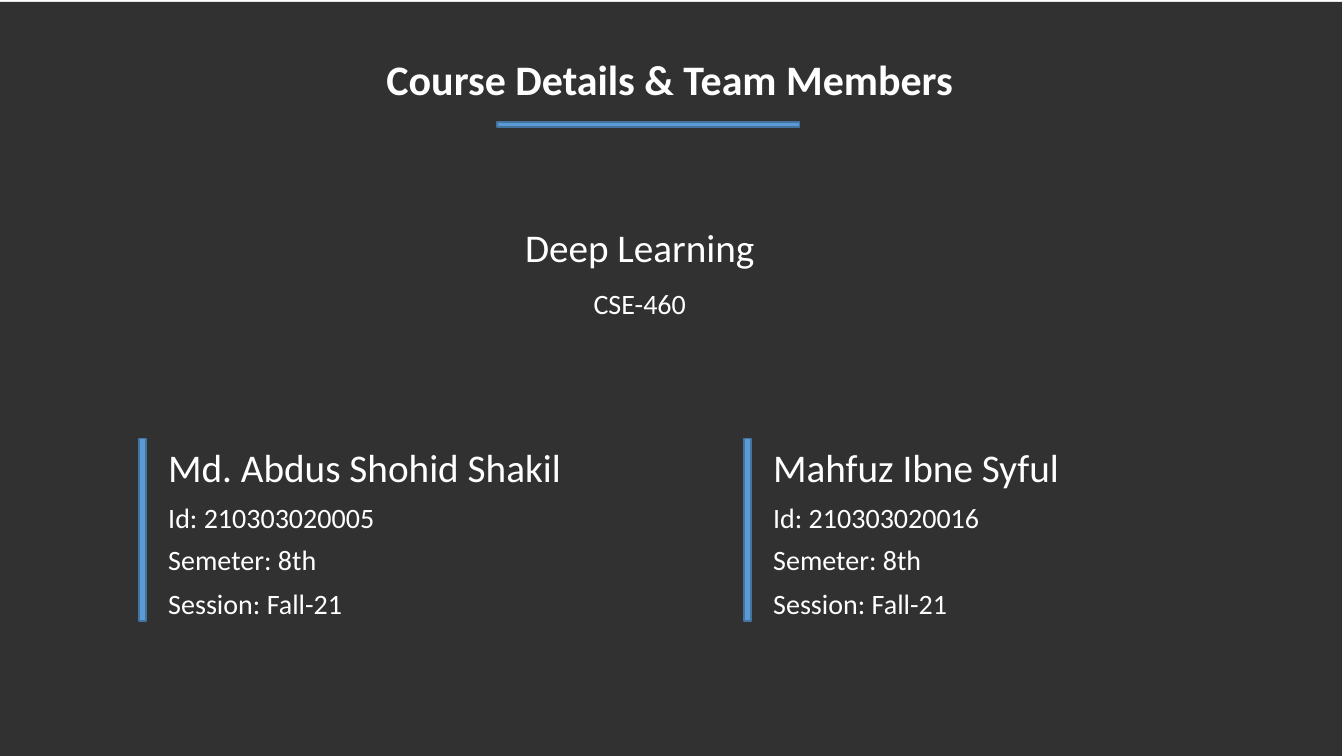
import pptx
import pptx.dml.color
import pptx.enum.shapes
import pptx.enum.text
import pptx.oxml
import pptx.oxml.ns
import pptx.util

RGBColor = pptx.dml.color.RGBColor
Inches = pptx.util.Inches
Pt = pptx.util.Pt
PP_ALIGN = pptx.enum.text.PP_ALIGN

DARK = RGBColor(0x26, 0x26, 0x26)
BLUE = RGBColor(0x5B, 0x9B, 0xD5)
BLUE_EDGE = RGBColor(0x43, 0x73, 0x9E)
WHITE = RGBColor(0xFF, 0xFF, 0xFF)
FONT = "Calibri"
WIDTH, HEIGHT = 13.33, 7.5
NAME_SIZE, DETAIL_SIZE = 28, 20
DETAIL_WIDTH = 4.01


def add_rect(shapes, box, fill, line=None):
    sp = shapes.add_shape(pptx.enum.shapes.MSO_SHAPE.RECTANGLE, *map(Inches, box))
    sp.shadow.inherit = False
    sp.fill.solid()
    sp.fill.fore_color.rgb = fill
    if line is None:
        sp.line.fill.background()
    else:
        sp.line.color.rgb = line
        sp.line.width = Pt(1)
    return sp


def set_text(sp, text, size, align, bold=False):
    tf = sp.text_frame
    tf.text = text
    tf.word_wrap = True
    tf.auto_size = pptx.enum.text.MSO_AUTO_SIZE.NONE
    tf.vertical_anchor = pptx.enum.text.MSO_ANCHOR.TOP
    p = tf.paragraphs[0]
    p.alignment = align
    font = p.runs[0].font
    font.name, font.size, font.bold = FONT, Pt(size), bold
    font.color.rgb = WHITE


def add_text(shapes, box, text, size, align=PP_ALIGN.LEFT):
    set_text(shapes.add_textbox(*map(Inches, box)), text, size, align)


def add_backdrop(slide, box):
    sp = add_rect(slide.shapes, box, DARK)
    color = sp.fill._xPr.find(".//" + pptx.oxml.ns.qn("a:srgbClr"))
    color.append(pptx.oxml.parse_xml(
        f'<a:alpha {pptx.oxml.ns.nsdecls("a")} val="95000"/>'))
    # Behind the title placeholder
    slide.shapes._spTree.insert(2, sp._element)


def add_heading(slide, box, text):
    x, y, w, h = box
    title = slide.shapes.title
    title.left, title.top, title.width, title.height = map(Inches, box)
    set_text(title, text, 30, PP_ALIGN.CENTER, bold=True)
    add_rect(slide.shapes, (x + 2.11, y + 0.73, 3, 0.05), BLUE, BLUE_EDGE)


def add_course(slide, box, name, code):
    x, y, w, h = box
    shapes = slide.shapes.add_group_shape().shapes
    add_text(shapes, (x, y, w, 0.57), name, NAME_SIZE, PP_ALIGN.CENTER)
    add_text(shapes, (x, y + h - 0.44, w, 0.44), code, DETAIL_SIZE, PP_ALIGN.CENTER)


def add_member(slide, box, name, details):
    x, y, w, h = box
    shapes = slide.shapes.add_group_shape().shapes
    add_rect(shapes, (x, y, 0.07, h), BLUE, BLUE_EDGE)
    text_x = x + 0.19
    add_text(shapes, (text_x, y, w - 0.19, 0.52), name, NAME_SIZE)
    for detail, offset in zip(details, (0.57, 0.98, 1.42)):
        add_text(shapes, (text_x, y + offset, DETAIL_WIDTH, 0.4), detail, DETAIL_SIZE)


def main():
    prs = pptx.Presentation()
    prs.slide_width, prs.slide_height = Inches(WIDTH), Inches(HEIGHT)
    slide = prs.slides.add_slide(prs.slide_layouts[5])

    # Backdrop and heading
    add_backdrop(slide, (-0.02, 0.02, WIDTH, HEIGHT))
    add_heading(slide, (2.82, 0.48, 7.65, 0.61), "Course Details & Team Members")

    # Course
    add_course(slide, (4.34, 2.17, DETAIL_WIDTH, 1.06), "Deep Learning", "CSE-460")

    # Team members, one per column
    members = [("Md. Abdus Shohid Shakil", "210303020005"),
               ("Mahfuz Ibne Syful", "210303020016")]
    for col, (name, number) in enumerate(members):
        details = (f"Id: {number}", "Semeter: 8th", "Session: Fall-21")
        add_member(slide, (1.38 + 6 * col, 4.35, 4.41, 1.81), name, details)

    prs.save("out.pptx")


if __name__ == "__main__":
    main()
